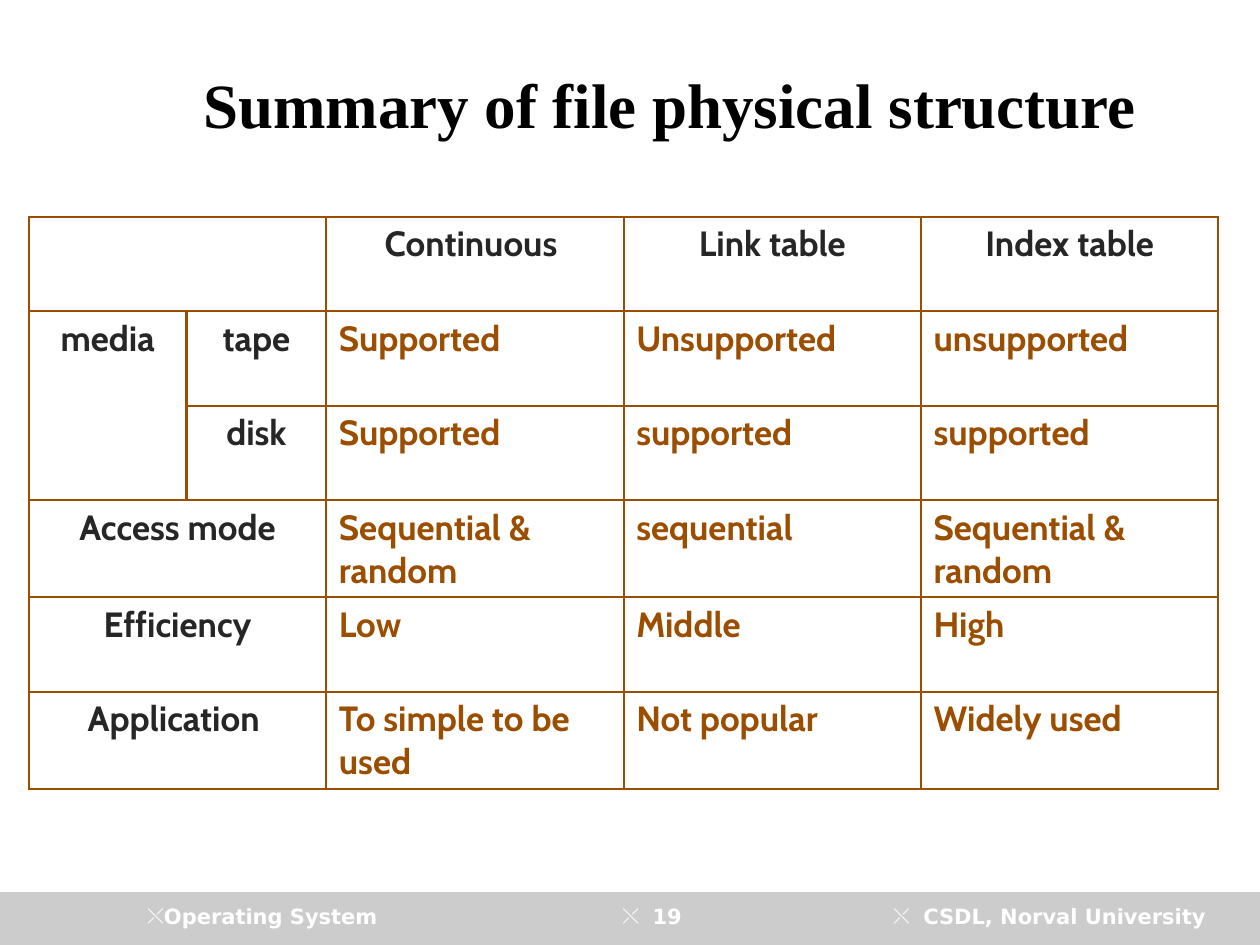
from lxml import etree
from pptx import Presentation
from pptx.dml.color import RGBColor
from pptx.enum.shapes import MSO_SHAPE
from pptx.enum.text import MSO_ANCHOR, PP_ALIGN
from pptx.oxml.ns import qn
from pptx.util import Inches, Pt

WHITE = RGBColor(0xFF, 0xFF, 0xFF)
BLACK = RGBColor(0x00, 0x00, 0x00)
GRAY = RGBColor(0xCC, 0xCC, 0xCC)
DARK = RGBColor(0x26, 0x26, 0x26)
BROWN = RGBColor(0x9C, 0x4E, 0x00)

LEFT, CENTER, RIGHT = PP_ALIGN.LEFT, PP_ALIGN.CENTER, PP_ALIGN.RIGHT
MIDDLE = MSO_ANCHOR.MIDDLE
RECTANGLE = MSO_SHAPE.RECTANGLE
TITLE_ONLY = 5

COLUMN_WIDTHS = [1.25, 1.11, 2.36, 2.36, 2.36]
ROW_HEIGHTS = [0.75, 0.75, 0.75, 0.77, 0.75, 0.77]
HEADING_COLUMNS = 2
ROWS = [
    ["", "", "Continuous ", "Link table", "Index table"],
    ["media", "tape", "Supported", "Unsupported", "unsupported"],
    ["", "disk", "Supported", "supported", "supported"],
    ["Access mode", "", "Sequential & random", "sequential", "Sequential & random"],
    ["Efficiency", "", "Low", "Middle", "High"],
    ["Application ", "", "To simple to be used", "Not popular", "Widely used"],
]
# First and last cell of each merged block
MERGES = [((0, 0), (0, 1)), ((1, 0), (2, 0))] + [
    ((row, 0), (row, 1)) for row in (3, 4, 5)
]

# Text, left, width, alignment, bullet indent
FOOTERS = [
    ("Operating System", 1.07, 2.75, LEFT, 0),
    ("CSDL, Norval University", 6.5, 3.17, RIGHT, 0.24),
    ("19", 4.01, 2.33, CENTER, 0.24),
]


def write_text(frame, text, *, font, size, color, align=LEFT):
    """Write one bold paragraph and return it."""
    frame.word_wrap = True
    paragraph = frame.paragraphs[0]
    paragraph.alignment = align
    run = paragraph.add_run()
    run.text = text
    run.font.name = font
    run.font.size = Pt(size)
    run.font.bold = True
    run.font.color.rgb = color
    return paragraph


def add_bullet(paragraph, indent):
    properties = paragraph._p.get_or_add_pPr()
    properties.set("marL", str(Inches(indent)))
    properties.set("indent", str(-Inches(indent)))
    etree.SubElement(properties, qn("a:buFont"), typeface="DejaVu Sans")
    etree.SubElement(properties, qn("a:buChar"), char="⤬")


def set_borders(cell, color, width):
    properties = cell._tc.get_or_add_tcPr()
    for side in ("lnL", "lnR", "lnT", "lnB"):
        line = etree.SubElement(properties, qn(f"a:{side}"), w=str(Pt(width)))
        fill = etree.SubElement(line, qn("a:solidFill"))
        etree.SubElement(fill, qn("a:srgbClr"), val=str(color))


def add_title(slide, text):
    title = slide.shapes.title
    title.left, title.top = Inches(1.06), Inches(0.33)
    title.width, title.height = Inches(8.51), Inches(0.98)
    title.text_frame.vertical_anchor = MIDDLE
    write_text(title.text_frame, text, font="Times New Roman", size=36,
               color=BLACK, align=CENTER)


def add_footer_bar(slide):
    bar = slide.shapes.add_shape(RECTANGLE, Inches(0), Inches(7.08),
                                 Inches(10), Inches(0.42))
    bar.shadow.inherit = False
    bar.fill.solid()
    bar.fill.fore_color.rgb = GRAY
    bar.line.fill.background()


def add_footer(slide, text, left, width, align, indent):
    box = slide.shapes.add_textbox(Inches(left), Inches(7.12),
                                   Inches(width), Inches(0.33))
    paragraph = write_text(box.text_frame, text, font="DejaVu Sans", size=12,
                           color=WHITE, align=align)
    add_bullet(paragraph, indent)


def add_summary_table(slide):
    table = slide.shapes.add_table(
        len(ROWS), len(COLUMN_WIDTHS), Inches(0.23), Inches(1.72),
        Inches(sum(COLUMN_WIDTHS)), Inches(sum(ROW_HEIGHTS))).table
    table.first_row = False
    table.horz_banding = False
    for column, width in zip(table.columns, COLUMN_WIDTHS):
        column.width = Inches(width)
    for row, height in zip(table.rows, ROW_HEIGHTS):
        row.height = Inches(height)

    for row_index, texts in enumerate(ROWS):
        for column_index, text in enumerate(texts):
            cell = table.cell(row_index, column_index)
            set_borders(cell, BROWN, 1.5)
            cell.fill.solid()
            cell.fill.fore_color.rgb = WHITE
            heading = row_index == 0 or column_index < HEADING_COLUMNS
            if text:
                write_text(cell.text_frame, text, font="Cabin", size=20,
                           color=DARK if heading else BROWN,
                           align=CENTER if heading else LEFT)

    for first, last in MERGES:
        table.cell(*first).merge(table.cell(*last))


def main():
    presentation = Presentation()
    presentation.slide_width = Inches(10)
    presentation.slide_height = Inches(7.5)
    slide = presentation.slides.add_slide(presentation.slide_layouts[TITLE_ONLY])

    add_footer_bar(slide)
    add_title(slide, "Summary of file physical structure")
    for footer in FOOTERS:
        add_footer(slide, *footer)
    add_summary_table(slide)

    presentation.save("out.pptx")


if __name__ == "__main__":
    main()
